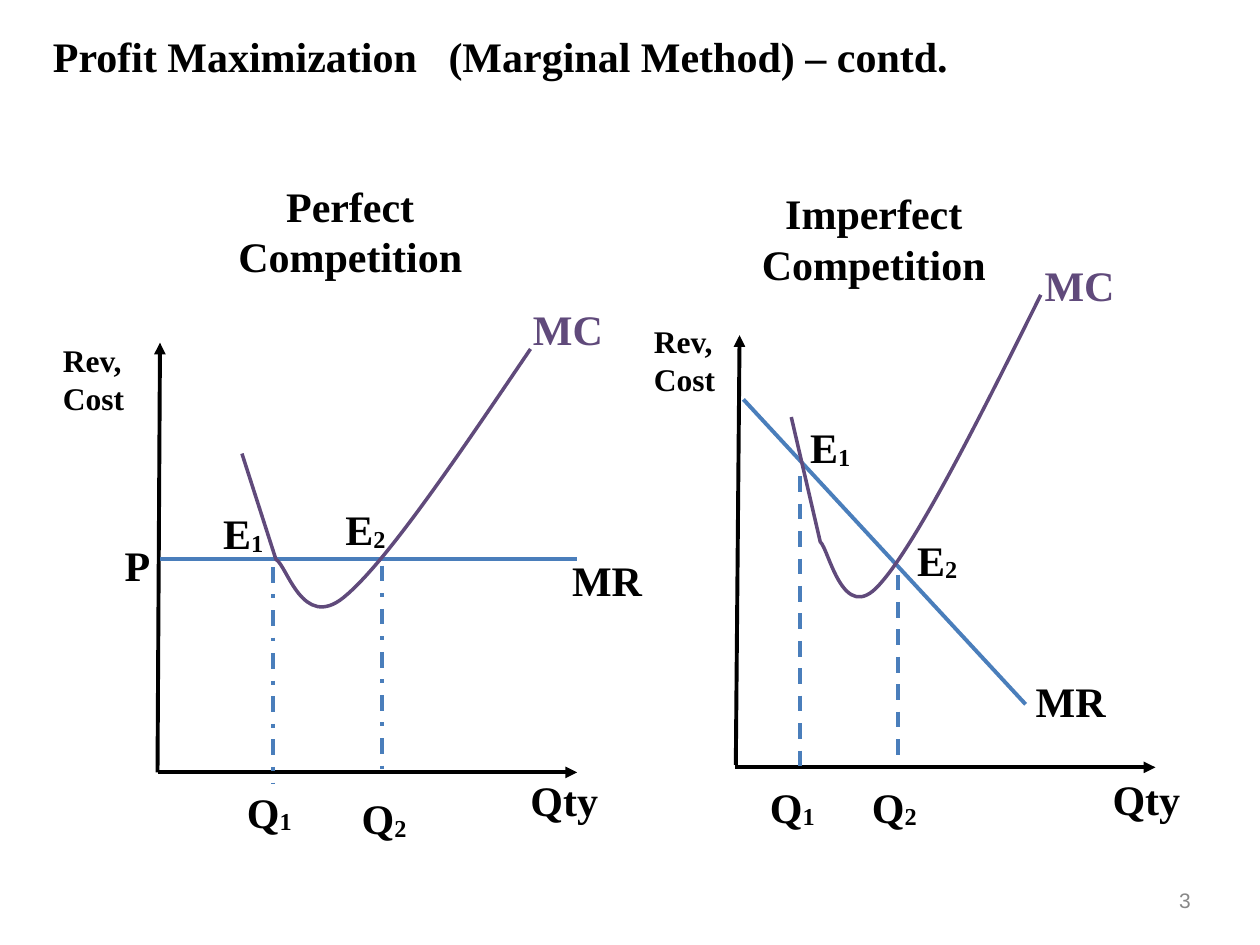
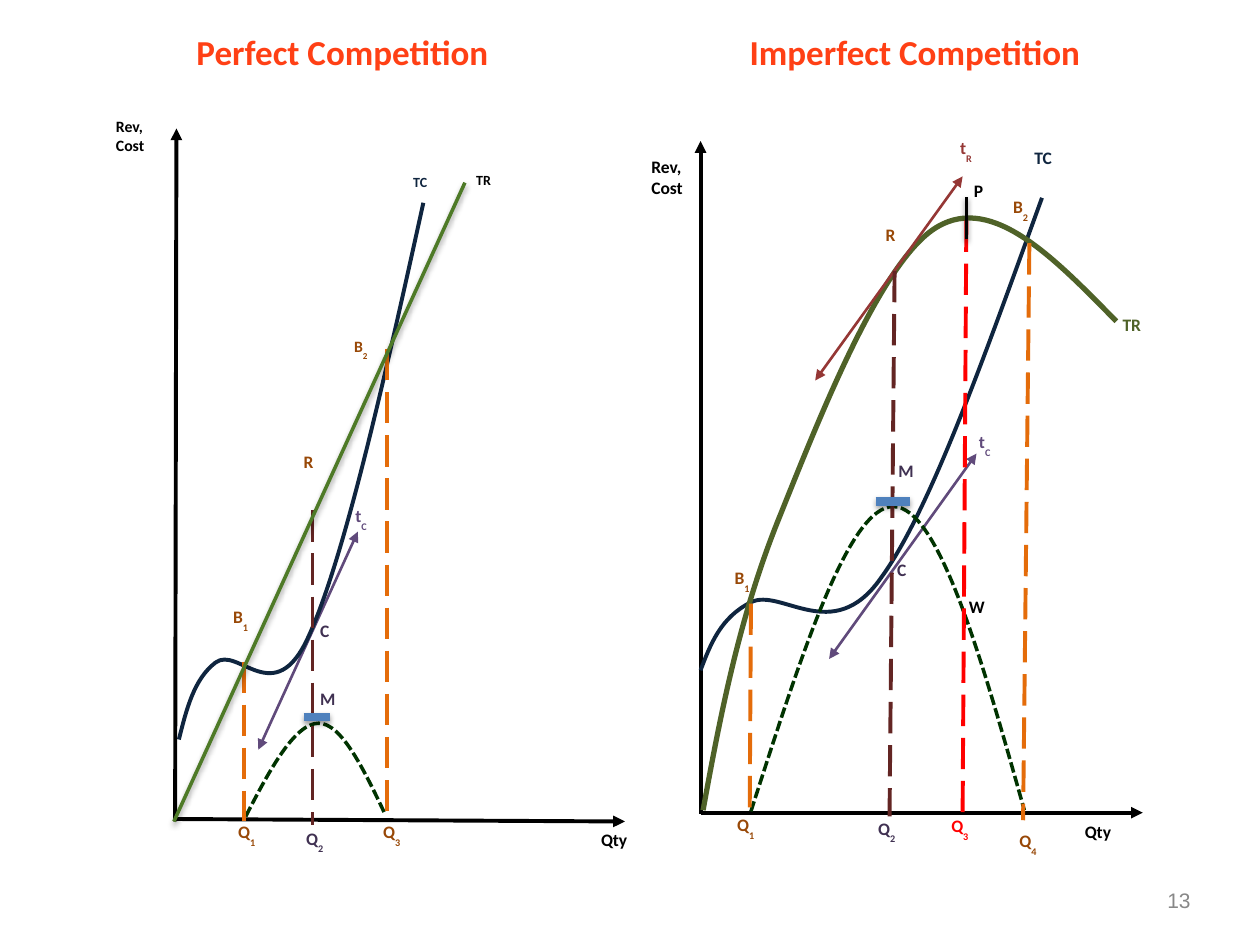
from lxml.etree import SubElement
from pptx import Presentation
from pptx.dml.color import RGBColor
from pptx.enum.dml import MSO_LINE as Dash
from pptx.enum.shapes import MSO_CONNECTOR as Link
from pptx.enum.text import MSO_ANCHOR as Anchor, PP_ALIGN as Align
from pptx.oxml.ns import qn
from pptx.util import Inches, Pt

COLS, ROWS = 10, 7.5
CELL = Inches(1)
INSET = 0.05

BLACK, GREY, BLUE, BAR = "000000", "888888", "4A7EBB", "4F81BD"
PURPLE, PLUM, NAVY, BROWN = "604A7B", "403152", "0F253F", "984807"
ORANGE, MAROON, RED, ROSE = "E46C0A", "632523", "FF0000", "953735"
GREEN, OLIVE, FOREST, TITLE = "4E7A27", "4F6228", "003300", "FF4015"

SERIF = {"name": "Times New Roman", "size": Pt(24), "bold": True}
SANS = {"name": "Calibri", "size": Pt(10), "bold": True}
HEAD = {**SANS, "size": Pt(20)}
PAGE = {"name": "Arial", "size": Pt(12), "bold": False}
SUB = {"Times New Roman": -6, "Calibri": -44}


def color(code):
    return RGBColor.from_string(code)


def grid(*cells):
    return [round(cell * CELL) for cell in cells]


def sized(font, points):
    return {**font, "size": Pt(points)}


def trace(slide, spots, close):
    """Draw an unfilled outline through the spots."""
    first, *rest = [grid(*spot) for spot in spots]
    pen = slide.shapes.build_freeform(*first)
    pen.add_line_segments(rest, close=close)
    shape = pen.convert_to_shape()
    shape.fill.background()
    shape.shadow.inherit = False
    return shape


def frame(slide, x, y, wide, high):
    """Draw a bare four-sided outline to hold text."""
    right, low = x + wide, y + high
    shape = trace(slide, [(x, y), (right, y), (right, low), (x, low)], True)
    shape.line.fill.background()
    return shape


def label(slide, text, box, font, code=BLACK, align=Align.LEFT,
          anchor=Anchor.TOP, wrap=True, tab=None, free=False):
    """Add a text box; what follows "_" in the text is a subscript."""
    shape = (frame(slide, *box) if free
             else slide.shapes.add_textbox(*grid(*box)))
    body = shape.text_frame
    style = {"word_wrap": wrap, "vertical_anchor": anchor}
    style.update({f"margin_{side}": Inches(INSET)
                  for side in ("left", "top", "right", "bottom")})
    for key, value in style.items():
        setattr(body, key, value)
    para = body.paragraphs[0]
    para.alignment = align
    if tab:
        stops = SubElement(para._p.get_or_add_pPr(), qn("a:tabLst"))
        SubElement(stops, qn("a:tab"), pos=str(grid(tab)[0]), algn="l")
    for index, part in enumerate(text.split("_")):
        run = para.add_run()
        run.text = part
        for key, value in font.items():
            setattr(run.font, key, value)
        run.font.color.rgb = color(code)
        if index:
            run._r.get_or_add_rPr().set("baseline", str(SUB[font["name"]] * 1000))


def labels(slide, font, rows, free=False):
    for text, box, code in rows:
        label(slide, text, box, font, code, free=free)


def stroke(shape, code, width, dash=None):
    shape.line.color.rgb = color(code)
    shape.line.width = Pt(width)
    if dash:
        shape.line.dash_style = dash


def line(slide, ends, code, width=2.25, dash=None, tips=(), shade=False):
    """Draw a straight line; tips names the ends with arrows: head, tail."""
    link = slide.shapes.add_connector(Link.STRAIGHT, *grid(*ends))
    stroke(link, code, width, dash)
    for tip in tips:
        SubElement(link.line._get_or_add_ln(), qn(f"a:{tip}End"), type="triangle")
    effects = SubElement(link._element.spPr, qn("a:effectLst"))
    if shade:
        cast = SubElement(effects, qn("a:outerShdw"), blurRad=str(Pt(3)),
                          dist=str(Pt(1.6)), dir="5400000", rotWithShape="0")
        tone = SubElement(cast, qn("a:srgbClr"), val=BLACK)
        SubElement(tone, qn("a:alpha"), val="38000")


def drops(slide, rows, dash):
    for ends, code in rows:
        line(slide, ends, code, dash=dash)


def axes(slide, rise, run):
    for ends in (rise, run):
        line(slide, ends, BLACK, tips=["head"])


def tangent(slide, ends, code):
    line(slide, ends, code, 1.5, tips=["head", "tail"])


def bezier(knots, steps=24):
    """Yield points along a cubic curve, without its first point."""
    for step in range(1, steps + 1):
        t = step / steps
        u = 1 - t
        parts = (u ** 3, 3 * u * u * t, 3 * u * t * t, t ** 3)
        yield tuple(sum(p * knot[axis] for p, knot in zip(parts, knots))
                    for axis in (0, 1))


def curve(slide, start, bends, code, width=2.25, dash=None):
    """Draw an open curve; a bend is one point (straight) or three (cubic).

    Sampled points set the bounds, then true curve segments replace them.
    """
    spots = [start]
    for bend in bends:
        spots += bend if len(bend) == 1 else bezier([spots[-1], *bend])
    shape = trace(slide, spots, False)
    trail = shape._element.find(".//" + qn("a:path"))
    del trail[:]
    for bend in ([start], *bends):
        tag = ("moveTo" if bend[0] == start
               else "lnTo" if len(bend) == 1 else "cubicBezTo")
        part = SubElement(trail, qn(f"a:{tag}"))
        for x, y in (grid(*spot) for spot in bend):
            SubElement(part, qn("a:pt"), x=str(x - shape.left), y=str(y - shape.top))
    stroke(shape, code, width, dash)


def page(slide, number):
    label(slide, number, (9.21, 7, 0.29, 0.29), PAGE, GREY,
          Align.RIGHT, Anchor.MIDDLE, wrap=False)


def marginal(slide):
    axes(slide, (1.27, 2.72, 1.25, 6.13), (4.58, 6.13, 1.25, 6.13))
    axes(slide, (5.87, 2.66, 5.84, 6.07), (9.17, 6.09, 5.83, 6.09))
    for ends in ((1.27, 4.44, 4.58, 4.44), (5.9, 3.17, 8.14, 5.59)):
        line(slide, ends, BLUE)
    drops(slide, [((2.17, 4.5, 2.17, 6.22), BLUE),
                  ((3.03, 4.49, 3.03, 6.13), BLUE)], Dash.DASH_DOT)
    drops(slide, [((6.35, 3.78, 6.35, 6.15), BLUE),
                  ((7.13, 4.56, 7.13, 6.07), BLUE)], Dash.DASH)
    labels(slide, SERIF, [
        ("MR", (4.49, 4.35, 0.77, 0.5), BLACK),
        ("P", (0.94, 4.23, 0.34, 0.5), BLACK),
        ("MR", (8.17, 5.31, 0.71, 0.5), BLACK),
        ("E_1", (1.72, 3.98, 0.61, 0.5), BLACK),
        ("Q_1", (1.91, 6.19, 0.51, 0.5), BLACK),
        ("E_1", (6.38, 3.3, 0.46, 0.5), BLACK),
        ("Q_1", (6.06, 6.15, 0.62, 0.5), BLACK),
        ("E_2", (7.23, 4.19, 0.53, 0.5), BLACK),
        ("Q_2", (6.87, 6.15, 0.52, 0.5), BLACK)], free=True)
    labels(slide, SERIF, [
        ("E_2", (2.69, 3.95, 0.59, 0.43), BLACK),
        ("Q_2", (2.82, 6.24, 0.59, 0.59), BLACK),
        ("Qty", (4.16, 6.1, 0.74, 0.5), BLACK),
        ("Qty", (8.78, 6.09, 0.72, 0.5), BLACK),
        ("MC", (8.24, 2.01, 0.87, 0.5), PURPLE),
        ("MC", (4.18, 2.36, 0.87, 0.5), PURPLE)])
    labels(slide, sized(SERIF, 18), [
        ("Rev, Cost", (0.45, 2.66, 0.74, 0.71), BLACK),
        ("Rev, Cost", (5.14, 2.51, 0.74, 0.71), BLACK)])
    for text, box in (("Perfect Competition", (1.4, 1.38, 2.76, 0.91)),
                      ("Imperfect Competition", (5.82, 1.44, 2.23, 0.91))):
        label(slide, text, box, SERIF, align=Align.CENTER)
    curve(slide, (1.92, 3.6), [
        [(2.19, 4.44)],
        [(2.28, 4.49), (2.4, 5.01), (2.73, 4.74)],
        [(3.07, 4.46), (3.64, 3.61), (4.21, 2.77)]], PURPLE, 2)
    curve(slide, (6.28, 3.31), [
        [(6.51, 4.3)],
        [(6.58, 4.36), (6.69, 4.97), (6.98, 4.64)],
        [(7.27, 4.32), (7.77, 3.33), (8.26, 2.34)]], PURPLE, 2)
    label(slide, "Profit Maximization\t(Marginal Method) – contd.",
          (0.37, 0.2, 7.3, 0.48), SERIF, anchor=Anchor.MIDDLE, tab=3.14)
    page(slide, "3")


def perfect(slide):
    axes(slide, (1.4, 1.02, 1.39, 6.52), (4.96, 6.52, 1.39, 6.5))
    tangent(slide, (2.05, 5.95, 2.84, 4.22), PURPLE)
    curve(slide, (1.42, 5.87), [
        [(1.48, 5.63), (1.54, 5.39), (1.71, 5.26)],
        [(1.89, 5.12), (2.18, 5.65), (2.45, 5.05)],
        [(2.73, 4.44), (3.05, 3.02), (3.36, 1.61)]], NAVY)
    curve(slide, (1.95, 6.48), [
        [(2.14, 6.11), (2.34, 5.74), (2.53, 5.74)],
        [(2.71, 5.74), (2.89, 6.11), (3.06, 6.47)]], FOREST, 2, Dash.SQUARE_DOT)
    drops(slide, [((1.94, 5.25, 1.94, 6.52), ORANGE),
                  ((2.48, 4.05, 2.48, 6.55), MAROON),
                  ((3.07, 2.77, 3.07, 6.47), ORANGE)], Dash.LONG_DASH)
    line(slide, (2.41, 5.69, 2.62, 5.69), BAR, 5, shade=True)
    line(slide, (1.38, 6.52, 3.69, 1.45), GREEN, 2, shade=True)
    labels(slide, SANS, [
        ("t_C", (2.77, 3.96, 0.45, 0.41), PURPLE),
        ("R", (2.36, 3.53, 0.16, 0.43), BROWN),
        ("C", (2.49, 4.87, 0.17, 0.43), PLUM),
        ("M", (2.49, 5.41, 0.22, 0.32), PLUM),
        ("B_1", (1.8, 4.76, 0.43, 0.49), BROWN),
        ("Q_1", (1.84, 6.47, 0.38, 0.32), BROWN),
        ("Q_2", (2.38, 6.52, 0.32, 0.49), PLUM),
        ("Q_3", (2.99, 6.47, 0.39, 0.49), BROWN),
        ("Qty", (4.72, 6.53, 0.39, 0.43), BLACK)])
    labels(slide, sized(SANS, 9), [
        ("Rev, Cost", (0.87, 0.88, 0.52, 0.62), BLACK),
        ("B_2", (2.76, 2.62, 0.32, 0.3), BROWN)])
    labels(slide, sized(SANS, 8), [
        ("TC", (3.23, 1.33, 0.3, 0.27), NAVY),
        ("TR", (3.73, 1.31, 0.34, 0.33), BLACK)])
    label(slide, "Perfect Competition", (1.51, 0.19, 2.74, 0.42), HEAD, TITLE)


def imperfect(slide):
    axes(slide, (5.56, 1.12, 5.56, 6.46), (9.07, 6.45, 5.56, 6.45))
    curve(slide, (5.56, 5.32), [
        [(5.64, 5.11), (5.72, 4.9), (5.96, 4.78)],
        [(6.2, 4.66), (6.61, 5.13), (6.99, 4.59)],
        [(7.38, 4.06), (7.82, 2.81), (8.27, 1.57)]], NAVY)
    curve(slide, (5.58, 6.43), [
        [(5.72, 5.66), (5.87, 4.89), (6.18, 4.12)],
        [(6.49, 3.35), (6.99, 2.06), (7.44, 1.8)],
        [(7.88, 1.54), (8.37, 2.05), (8.86, 2.55)]], OLIVE, 3)
    tangent(slide, (6.47, 3.02, 7.64, 1.4), ROSE)
    tangent(slide, (6.58, 5.23, 7.75, 3.6), PURPLE)
    curve(slide, (5.96, 6.44), [
        [(6.35, 5.23), (6.73, 4.02), (7.09, 4.02)],
        [(7.45, 4.02), (7.79, 5.22), (8.13, 6.43)]], FOREST, 2, Dash.SQUARE_DOT)
    drops(slide, [((5.96, 4.79, 5.95, 6.46), ORANGE),
                  ((7.1, 2.15, 7.06, 6.48), MAROON),
                  ((7.67, 1.75, 7.64, 6.46), RED),
                  ((8.17, 1.93, 8.12, 6.51), ORANGE)], Dash.LONG_DASH)
    line(slide, (6.95, 3.98, 7.22, 3.98), BAR, 5, shade=True)
    line(slide, (7.67, 1.9, 7.67, 1.56), BLACK, 2, shade=True)
    labels(slide, SANS, [
        ("Rev, Cost", (5.12, 1.19, 0.44, 0.54), BLACK),
        ("TC", (8.16, 1.12, 0.35, 0.25), NAVY),
        ("TR", (8.86, 2.44, 0.35, 0.25), OLIVE),
        ("t_R", (7.57, 1.04, 0.25, 0.31), ROSE),
        ("t_C", (7.72, 3.37, 0.24, 0.31), PURPLE),
        ("P", (7.68, 1.38, 0.17, 0.25), BLACK),
        ("R", (6.98, 1.73, 0.2, 0.25), BROWN),
        ("C", (7.07, 4.39, 0.25, 0.25), PLUM),
        ("M", (7.08, 3.6, 0.18, 0.25), PLUM),
        ("W", (7.64, 4.68, 0.35, 0.25), BLACK),
        ("B_1", (5.78, 4.45, 0.35, 0.31), BROWN),
        ("B_2", (7.99, 1.51, 0.28, 0.31), BROWN),
        ("Q_1", (5.8, 6.41, 0.3, 0.31), BROWN),
        ("Q_2", (6.92, 6.44, 0.3, 0.31), PLUM),
        ("Q_3", (7.5, 6.42, 0.26, 0.31), RED),
        ("Q_4", (8.04, 6.54, 0.32, 0.31), BROWN),
        ("Qty", (8.56, 6.47, 0.4, 0.38), BLACK)])
    label(slide, "Imperfect Competition", (5.9, 0.19, 3.06, 0.42), HEAD, TITLE)


def totals(slide):
    perfect(slide)
    imperfect(slide)
    page(slide, "13")


def main():
    deck = Presentation()
    deck.slide_width, deck.slide_height = grid(COLS, ROWS)
    for draw in (marginal, totals):
        draw(deck.slides.add_slide(deck.slide_layouts[6]))
    deck.save("out.pptx")


if __name__ == "__main__":
    main()
